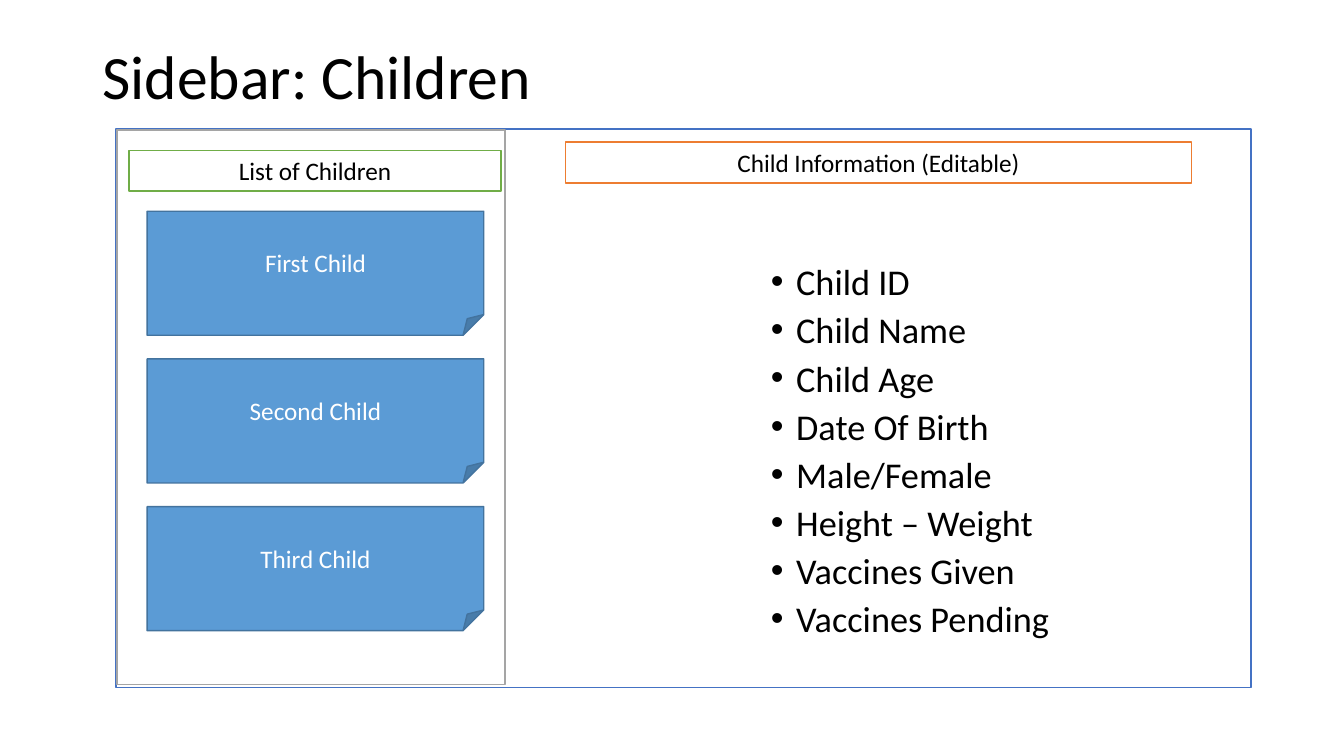
"""Build the slide that shows the children sidebar layout."""
from lxml import etree
from pptx import Presentation
from pptx import util as u
from pptx.dml.color import RGBColor
from pptx.enum import shapes, text
from pptx.oxml.ns import qn

TITLE = "Sidebar: Children"
LIST_HEADING = "List of Children"
DETAIL_HEADING = "Child Information (Editable)"
CHILDREN = ["First Child", "Second Child", "Third Child"]
FIELDS = ["Child ID", "Child Name", "Child Age", "Date Of Birth",
          "Male/Female", "Height – Weight", "Vaccines Given", "Vaccines Pending"]

FONT = "Calibri"
BLACK = RGBColor(0x00, 0x00, 0x00)
WHITE = RGBColor(0xFF, 0xFF, 0xFF)
FRAME_BLUE = RGBColor(0x44, 0x72, 0xC4)
GREY = RGBColor(0xA5, 0xA5, 0xA5)
GREEN = RGBColor(0x70, 0xAD, 0x47)
ORANGE = RGBColor(0xED, 0x7D, 0x31)
CARD_BLUE = RGBColor(0x5B, 0x9B, 0xD5)
CARD_EDGE = RGBColor(0x43, 0x73, 0x9E)

RECTANGLE = shapes.MSO_SHAPE.RECTANGLE
FOLDED_CORNER = shapes.MSO_SHAPE.FOLDED_CORNER
MIDDLE = text.MSO_ANCHOR.MIDDLE
CENTER = text.PP_ALIGN.CENTER

FRAME = (82.8, 92.2, 810.7, 398.9)
SIDEBAR = (83.5, 92.9, 277.2, 396)
LIST_BOX = (92.2, 107.5, 265.7, 29.08)
DETAIL_BOX = (403.9, 101.6, 447.1, 29.08)
TITLE_BOX = (66.2, 28.8, 828, 56.2)
FIELD_BOX = (543.6, 187.9, 246.2, 290.9)
CARD_LEFT, CARD_TOP, CARD_WIDTH, CARD_HEIGHT = 105.1, 150.9, 240.5, 88.6
CARD_STEP = 105.5
INDENT = 18


def points(box):
    return [u.Pt(value) for value in box]


def style_paragraph(paragraph, size, color):
    for run in paragraph.runs:
        run.font.name = FONT
        run.font.size = u.Pt(size)
        run.font.color.rgb = color


def add_panel(slide, box, fill, line, label="", color=BLACK, preset=RECTANGLE):
    shape = slide.shapes.add_shape(preset, *points(box))
    shape.shadow.inherit = False
    shape.fill.solid()
    shape.fill.fore_color.rgb = fill
    shape.line.color.rgb = line
    shape.line.width = u.Pt(1)
    if label:
        frame = shape.text_frame
        frame.word_wrap = True
        frame.vertical_anchor = MIDDLE
        frame.text = label
        frame.paragraphs[0].alignment = CENTER
        style_paragraph(frame.paragraphs[0], 18, color)


def add_text(slide, box, lines, size, spacing):
    frame = slide.shapes.add_textbox(*points(box)).text_frame
    frame.word_wrap = True
    frame.text = "\n".join(lines)
    for paragraph in frame.paragraphs:
        paragraph.line_spacing = spacing
        style_paragraph(paragraph, size, BLACK)
    return frame


def add_bullet(paragraph):
    properties = paragraph._p.get_or_add_pPr()
    properties.set("marL", str(u.Pt(INDENT)))
    properties.set("indent", str(-u.Pt(INDENT)))
    etree.SubElement(properties, qn("a:buFont")).set("typeface", "Arial")
    etree.SubElement(properties, qn("a:buChar")).set("char", "•")


def main():
    presentation = Presentation()
    presentation.slide_width = u.Pt(960)
    presentation.slide_height = u.Pt(540)
    slide = presentation.slides.add_slide(presentation.slide_layouts[6])

    add_panel(slide, FRAME, WHITE, FRAME_BLUE)
    title = add_text(slide, TITLE_BOX, [TITLE], 44, 0.9)
    title.vertical_anchor = MIDDLE

    fields = add_text(slide, FIELD_BOX, FIELDS, 25.9, 0.8)
    for index, paragraph in enumerate(fields.paragraphs):
        if index:
            paragraph.space_before = u.Pt(9.5)
        add_bullet(paragraph)

    add_panel(slide, SIDEBAR, WHITE, GREY)
    add_panel(slide, LIST_BOX, WHITE, GREEN, LIST_HEADING)
    for index, child in enumerate(CHILDREN):
        card = (CARD_LEFT, CARD_TOP + index * CARD_STEP, CARD_WIDTH, CARD_HEIGHT)
        add_panel(slide, card, CARD_BLUE, CARD_EDGE, child, WHITE, FOLDED_CORNER)
    add_panel(slide, DETAIL_BOX, WHITE, ORANGE, DETAIL_HEADING)

    presentation.save("out.pptx")


if __name__ == "__main__":
    main()
